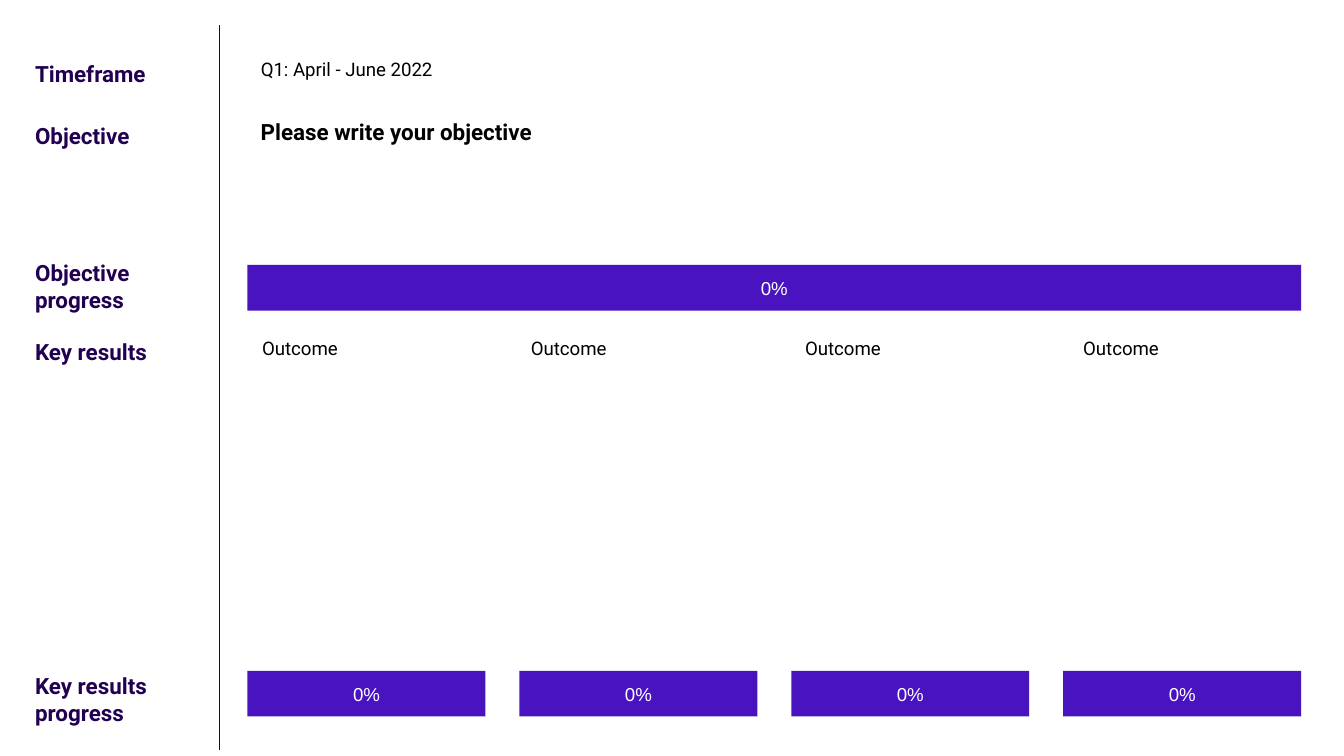
from lxml.etree import SubElement
from pptx import Presentation
from pptx.dml.color import RGBColor
from pptx.enum.shapes import MSO_CONNECTOR as Connector, MSO_SHAPE as Shape
from pptx.enum.text import MSO_ANCHOR as Anchor, PP_ALIGN as Align
from pptx.oxml.ns import qn
from pptx.util import Pt

NAVY, VIOLET, BLACK, WHITE = "220051", "4913BF", "000000", "FFFFFF"
INSET = 7.2
BAR_HEIGHT = 24.5
LABELS = [
    ("Timeframe", 25.2, 98.6),
    ("Objective", 58.3, 98.6),
    ("Objective progress", 131.8, 115),
    ("Key results", 174.2, 80.6),
    ("Key results progress", 352.8, 80.6),
]
OUTCOMES = [(0.7, 123.8), (144.7, 127.4), (291.6, 128.9), (440.6, 123.8)]


def color(value):
    """Turn a hex string into a colour."""
    return RGBColor.from_string(value)


def write(shape, text, size, font_color, font="Roboto", bold=False,
          align=Align.LEFT, anchor=Anchor.TOP):
    """Set and format the text of a shape."""
    frame = shape.text_frame
    frame.word_wrap = True
    frame.vertical_anchor = anchor
    frame.margin_left = frame.margin_right = Pt(INSET)
    frame.margin_top = frame.margin_bottom = Pt(INSET)
    frame.text = text
    paragraph = frame.paragraphs[0]
    paragraph.alignment = align
    for run in paragraph.runs:
        run.font.name = font
        run.font.size = Pt(size)
        run.font.bold = bold
        run.font.color.rgb = color(font_color)


def add_text(slide, text, left, top, width, height, size=10,
             font_color=BLACK, bold=False):
    """Add a left-aligned text box."""
    box = slide.shapes.add_textbox(Pt(left), Pt(top), Pt(width), Pt(height))
    write(box, text, size, font_color, bold=bold)


def add_progress_bar(slide, text, left, top, width):
    """Add a filled bar with its percentage in the middle."""
    bar = slide.shapes.add_shape(
        Shape.RECTANGLE, Pt(left), Pt(top), Pt(width), Pt(BAR_HEIGHT))
    bar.shadow.inherit = False
    bar.fill.solid()
    bar.fill.fore_color.rgb = color(VIOLET)
    bar.line.fill.background()
    write(bar, text, 10, WHITE, "Arial", align=Align.CENTER, anchor=Anchor.MIDDLE)


def add_divider(slide, x, top, bottom):
    """Add the vertical rule beside the labels."""
    line = slide.shapes.add_connector(
        Connector.STRAIGHT, Pt(x), Pt(top), Pt(x), Pt(bottom))
    line.line.color.rgb = color(NAVY)
    line.line.width = Pt(0.75)
    SubElement(line._element.spPr, qn("a:effectLst"))


def add_labels(slide, left):
    """Add the row headings."""
    for text, top, width in LABELS:
        add_text(slide, text, left, top, width, 45.4, 12, NAVY, True)


def add_objective(slide, left, top, width):
    """Add the timeframe, the objective and its progress."""
    add_text(slide, "Q1: April - June 2022", left, top, 215.3, 37.4)
    add_text(slide, "Please write your objective", left, top + 31, width, 44,
             12, bold=True)
    add_progress_bar(slide, "0%", left, top + 116.8, width)


def add_key_results(slide, left, top, width):
    """Add the outcomes and a progress bar under each."""
    bar_width = 127.5
    pitch = (width - bar_width) / (len(OUTCOMES) - 1)
    for index, (offset, text_width) in enumerate(OUTCOMES):
        add_text(slide, "Outcome", left + offset, top, text_width, 126.7)
        add_progress_bar(slide, "0%", left + index * pitch, top + 185.2, bar_width)


def main():
    """Build and save the slide."""
    presentation = Presentation()
    presentation.slide_width, presentation.slide_height = Pt(720), Pt(405)
    slide = presentation.slides.add_slide(presentation.slide_layouts[6])
    add_labels(slide, 11.7)
    add_divider(slide, 117.5, 13.5, 401.8)
    add_objective(slide, 132.6, 25.2, 564.5)
    add_key_results(slide, 132.6, 174.2, 564.5)
    presentation.save("out.pptx")


if __name__ == "__main__":
    main()
